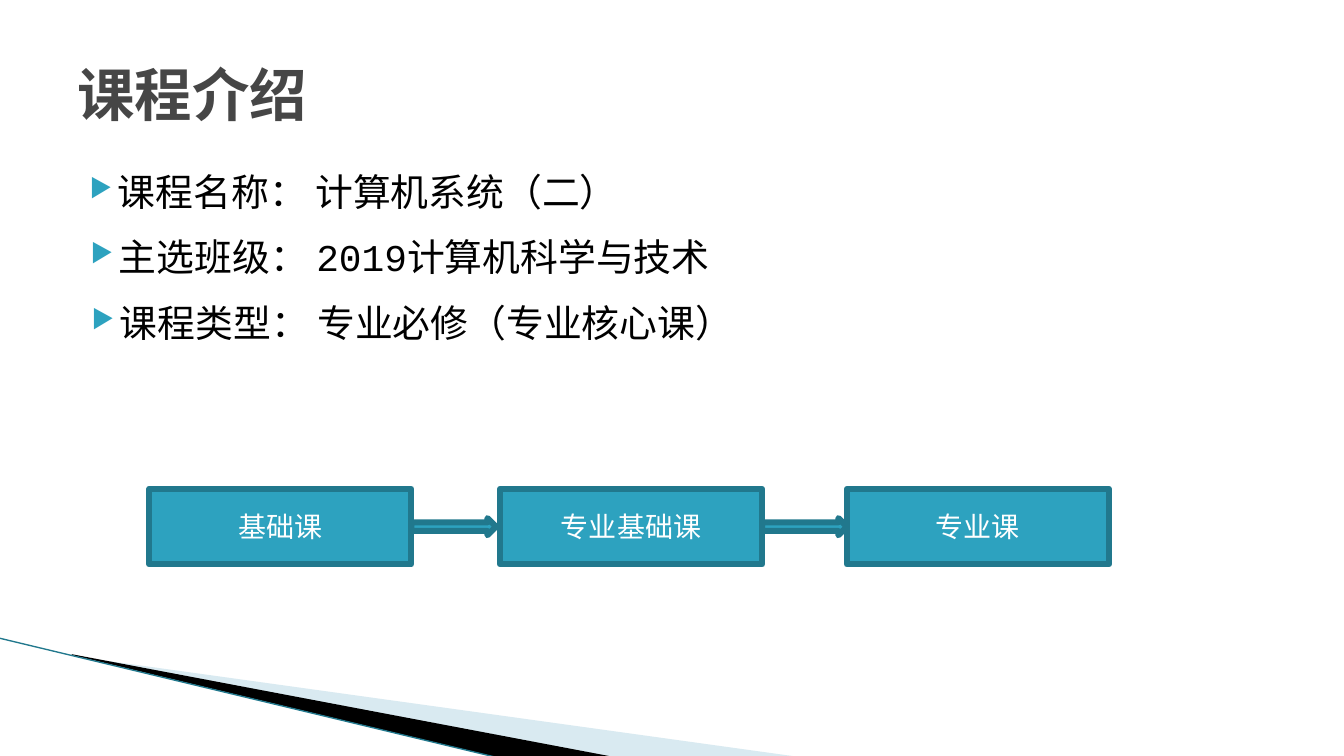
from lxml.etree import SubElement
from pptx import Presentation
from pptx.dml.color import RGBColor
from pptx.enum.shapes import MSO_CONNECTOR, MSO_SHAPE
from pptx.enum.text import MSO_ANCHOR as Anchor, PP_ALIGN as Align
from pptx.oxml.ns import qn
from pptx.util import Emu, Inches, Pt

TITLE = "课程介绍"
FACTS = [
    "课程名称： 计算机系统（二）",
    "主选班级： 2019计算机科学与技术",
    "课程类型： 专业必修（专业核心课）",
]
STAGES = [("基础课", 1.48), ("专业基础课", 4.96), ("专业课", 8.4)]
# Corner swoosh, in hundredths of an inch: colour, opacity in percent, corners
WEDGES = [
    ("A0CBDC", 40, [(73, 651), (793, 751), (608, 751), (73, 650)]),
    ("000000", 100, [(71, 649), (609, 751), (496, 752), (72, 650)]),
]
EDGE = (-0.01, 6.33, 4.95, 7.52)

FONT = "Courier New"
TEAL, DARK = "2DA2BF", "21788D"
LEFT, WIDE = 0.67, 12
FACT_TOP, FACT_STEP, FACT_TALL = 1.62, 0.65, 0.78
BOX_TOP, BOX_WIDE, BOX_TALL = 4.85, 2.6, 0.75
ARROW_WIDE, ARROW_TALL = 0.84, 0.17


def color(code):
    return RGBColor.from_string(code)


def write(frame, text, size, ink, bold=False, align=Align.LEFT,
          anchor=Anchor.TOP, bullet=False):
    frame.word_wrap = True
    frame.vertical_anchor = anchor
    para = frame.paragraphs[0]
    para.alignment = align
    if bullet:
        add_bullet(para)
    run = para.add_run()
    run.text = text
    font = run.font
    font.name, font.size, font.bold = FONT, Pt(size), bold
    font.color.rgb = color(ink)


def add_bullet(para):
    props = para._p.get_or_add_pPr()
    props.set("marL", str(Inches(0.4)))
    props.set("indent", str(Inches(-0.28)))
    tint = SubElement(props, qn("a:buClr"))
    SubElement(tint, qn("a:srgbClr"), val=TEAL)
    SubElement(props, qn("a:buSzPct"), val="68000")
    SubElement(props, qn("a:buChar"), char="▶")


def add_text(slide, at, text, size, ink, **style):
    box = slide.shapes.add_textbox(*map(Inches, at))
    write(box.text_frame, text, size, ink, **style)


def add_block(slide, kind, at):
    block = slide.shapes.add_shape(kind, *map(Inches, at))
    block.shadow.inherit = False
    block.fill.solid()
    block.fill.fore_color.rgb = color(TEAL)
    block.line.color.rgb = color(DARK)
    block.line.width = Pt(4.33)
    return block


def add_wedge(slide, code, opacity, points):
    pen = slide.shapes.build_freeform(*points[0], scale=Emu(9144))
    pen.add_line_segments(points[1:], close=True)
    wedge = pen.convert_to_shape()
    wedge.shadow.inherit = False
    wedge.line.fill.background()
    wedge.fill.solid()
    wedge.fill.fore_color.rgb = color(code)
    if opacity < 100:
        tint = wedge.fill._xPr.find(".//" + qn("a:srgbClr"))
        SubElement(tint, qn("a:alpha"), val=str(opacity * 1000))


def add_edge(slide):
    edge = slide.shapes.add_connector(MSO_CONNECTOR.STRAIGHT, *map(Inches, EDGE))
    edge.line.color.rgb = color(DARK)
    edge.line.width = Pt(0.95)
    SubElement(edge._element.spPr, qn("a:effectLst"))


def main():
    deck = Presentation()
    deck.slide_width, deck.slide_height = Inches(13.33), Inches(7.5)
    slide = deck.slides.add_slide(deck.slide_layouts[6])

    for wedge in WEDGES:
        add_wedge(slide, *wedge)
    add_edge(slide)

    add_text(slide, (LEFT, 0.3, WIDE, 1.25), TITLE, 41, "464646",
             bold=True, anchor=Anchor.MIDDLE)
    for row, fact in enumerate(FACTS):
        at = (LEFT + row * 0.01, FACT_TOP + row * FACT_STEP, WIDE, FACT_TALL)
        add_text(slide, at, fact, 27, "000000", bullet=True)

    for name, left in STAGES:
        box = add_block(slide, MSO_SHAPE.RECTANGLE,
                        (left, BOX_TOP, BOX_WIDE, BOX_TALL))
        write(box.text_frame, name, 20, "FFFFFF",
              align=Align.CENTER, anchor=Anchor.MIDDLE)
    arrow_top = BOX_TOP + (BOX_TALL - ARROW_TALL) / 2
    for _, left in STAGES[:-1]:
        add_block(slide, MSO_SHAPE.RIGHT_ARROW,
                  (left + BOX_WIDE, arrow_top, ARROW_WIDE, ARROW_TALL))

    deck.save("out.pptx")


if __name__ == "__main__":
    main()
